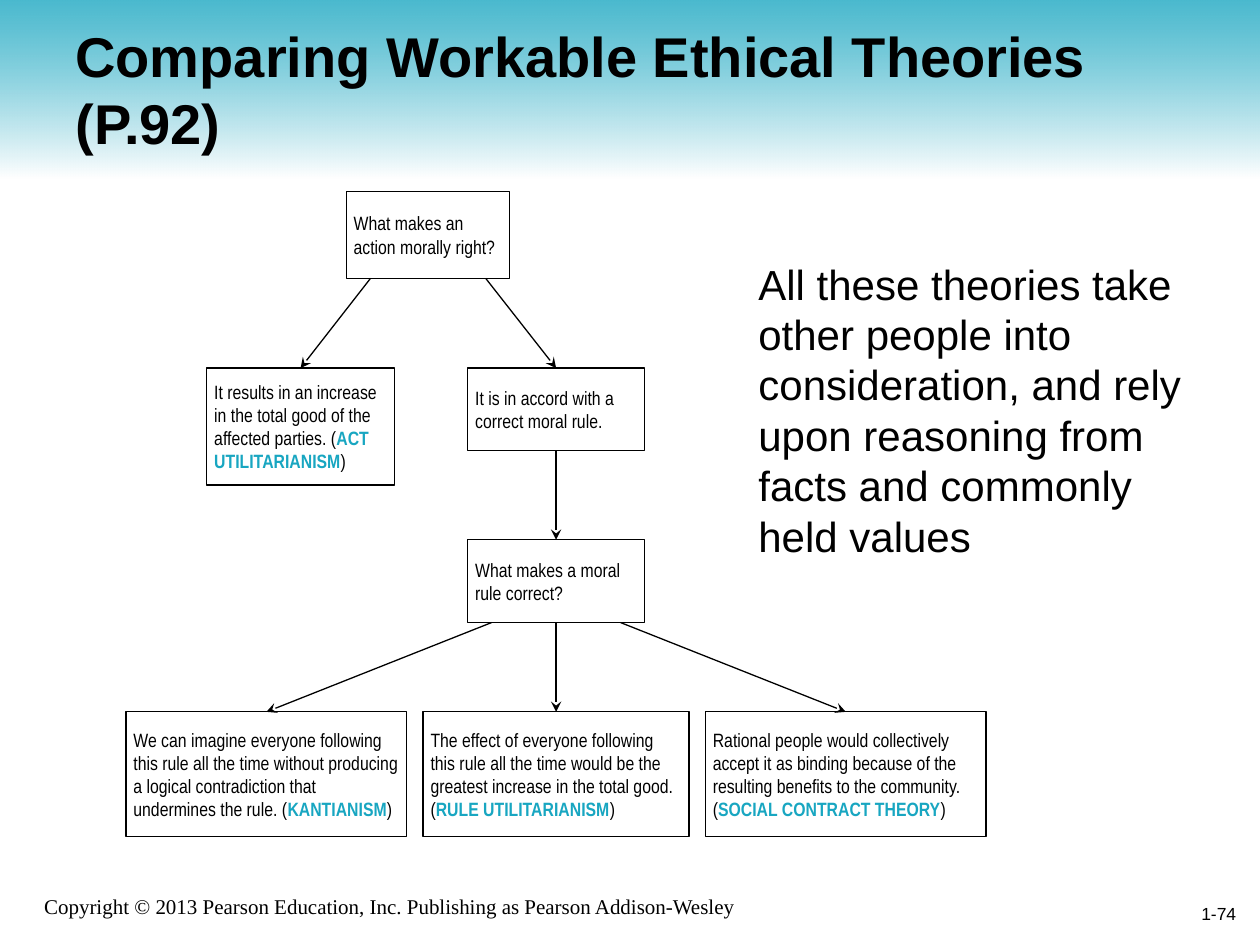
from dataclasses import dataclass

from lxml.etree import SubElement
from pptx import Presentation
from pptx.dml.color import RGBColor
from pptx.enum.shapes import MSO_CONNECTOR, MSO_SHAPE
from pptx.enum.text import MSO_ANCHOR, PP_ALIGN
from pptx.oxml.ns import qn
from pptx.util import Cm, Pt


@dataclass(frozen=True)
class Theme:
    ink: RGBColor = RGBColor(0, 0, 0)
    paper: RGBColor = RGBColor(255, 255, 255)
    teal: RGBColor = RGBColor(0x18, 0xA6, 0xC1)
    sans: str = "Arial"
    narrow: str = "Arial Narrow"
    serif: str = "Times New Roman"
    title: Pt = Pt(32)
    body: Pt = Pt(24)
    foot: Pt = Pt(12)
    node: Pt = Pt(11)
    page: Pt = Pt(10)
    line: Pt = Pt(0.75)


THEME = Theme()


def style(run, size, face, color=THEME.ink, bold=False):
    font = run.font
    font.size, font.name, font.bold = size, face, bold
    font.color.rgb = color


def add_band(slide):
    """Draw the header band that fades from teal to white."""
    band = slide.shapes.add_shape(MSO_SHAPE.PENTAGON, 0, 0, Cm(25.4), Cm(3.6))
    band.adjustments[0] = 0
    band.shadow.inherit = False
    band.line.fill.background()
    band.fill.gradient()
    band.fill.gradient_angle = 270
    first, last = band.fill.gradient_stops
    first.position, last.position = 0, 1
    first.color.rgb, last.color.rgb = THEME.teal, THEME.paper
    tint = next(band.element.iter(qn("a:srgbClr")))
    SubElement(tint, qn("a:alpha"), val="78000")


def add_text(slide, text, area, size, face=THEME.sans, bold=False,
             anchor=MSO_ANCHOR.TOP, align=PP_ALIGN.LEFT):
    box = slide.shapes.add_textbox(*(Cm(part) for part in area))
    frame = box.text_frame
    frame.word_wrap = True
    frame.vertical_anchor = anchor
    frame.text = text
    para = frame.paragraphs[0]
    para.alignment = align
    style(para.runs[0], size, face, bold=bold)


def add_node(slide, area, text, theory=None):
    """Draw a box; a theory name follows the text in teal brackets."""
    node = slide.shapes.add_shape(MSO_SHAPE.RECTANGLE,
                                  *(Cm(part) for part in area))
    node.shadow.inherit = False
    node.fill.solid()
    node.fill.fore_color.rgb = THEME.paper
    node.line.color.rgb = THEME.ink
    node.line.width = THEME.line
    frame = node.text_frame
    frame.word_wrap = True
    frame.vertical_anchor = MSO_ANCHOR.MIDDLE
    frame.margin_left = frame.margin_right = Cm(0.15)
    frame.margin_top = frame.margin_bottom = Cm(0.15)
    para = frame.paragraphs[0]
    para.alignment = PP_ALIGN.LEFT
    para.text = f"{text} (" if theory else text
    style(para.runs[0], THEME.node, THEME.narrow)
    if theory:
        for part, color in ((theory, THEME.teal), (")", THEME.ink)):
            run = para.add_run()
            run.text = part
            style(run, THEME.node, THEME.narrow, color, part == theory)
    return node


def add_arrow(slide, start, end, shift=0):
    """Join two boxes, leaving the upper one `shift` cm from its middle."""
    left = start.left + start.width // 2 + Cm(shift)
    base = start.top + start.height
    arrow = slide.shapes.add_connector(MSO_CONNECTOR.STRAIGHT,
                                       left, base, left, end.top)
    if not shift:
        arrow.begin_connect(start, 2)
    arrow.end_connect(end, 0)
    arrow.line.color.rgb = THEME.ink
    arrow.line.width = THEME.line
    SubElement(arrow.line._get_or_add_ln(), qn("a:tailEnd"), type="stealth")
    SubElement(arrow.element.spPr, qn("a:effectLst"))


def add_tree(slide):
    root = add_node(slide, (6.98, 3.86, 3.3, 1.75),
                    "What makes an action morally right?")
    act = add_node(slide, (4.17, 7.42, 3.78, 2.36),
                   "It results in an increase in the total good of the "
                   "affected parties.", "ACT UTILITARIANISM")
    accord = add_node(slide, (9.43, 7.42, 3.56, 1.67),
                      "It is in accord with a correct moral rule.")
    rule = add_node(slide, (9.43, 10.88, 3.56, 1.67),
                    "What makes a moral rule correct?")
    add_arrow(slide, root, act, -1.16)
    add_arrow(slide, root, accord, 1.16)
    add_arrow(slide, accord, rule)

    leaves = (
        (5.66, -1.3, "We can imagine everyone following this rule all the "
         "time without producing a logical contradiction that undermines "
         "the rule.", "KANTIANISM"),
        (5.36, 0, "The effect of everyone following this rule all the time "
         "would be the greatest increase in the total good.",
         "RULE UTILITARIANISM"),
        (5.66, 1.3, "Rational people would collectively accept it as binding "
         "because of the resulting benefits to the community.",
         "SOCIAL CONTRACT THEORY"),
    )
    left, gap = 2.54, 0.33
    for width, shift, text, theory in leaves:
        leaf = add_node(slide, (left, 14.35, width, 2.51), text, theory)
        add_arrow(slide, rule, leaf, shift)
        left += width + gap


def main():
    deck = Presentation()
    deck.slide_width, deck.slide_height = Cm(25.4), Cm(19.05)
    slide = deck.slides.add_slide(deck.slide_layouts[6])
    add_band(slide)
    add_text(slide, "Copyright © 2013 Pearson Education, Inc. Publishing as "
             "Pearson Addison-Wesley", (0.64, 17.58, 15.44, 1.07),
             THEME.foot, THEME.serif, anchor=MSO_ANCHOR.BOTTOM)
    add_text(slide, "1-74", (19.89, 17.78, 5.28, 1.27), THEME.page,
             anchor=MSO_ANCHOR.MIDDLE, align=PP_ALIGN.RIGHT)
    add_text(slide, "Comparing Workable Ethical Theories (P.92)",
             (1.27, 0.2, 23.06, 3.18), THEME.title, bold=True,
             anchor=MSO_ANCHOR.MIDDLE)
    add_tree(slide)
    add_text(slide, "All these theories take other people into consideration, "
             "and rely upon reasoning from facts and commonly held values",
             (15.04, 5.08, 9.32, 6.78), THEME.body)
    deck.save("out.pptx")


if __name__ == "__main__":
    main()
